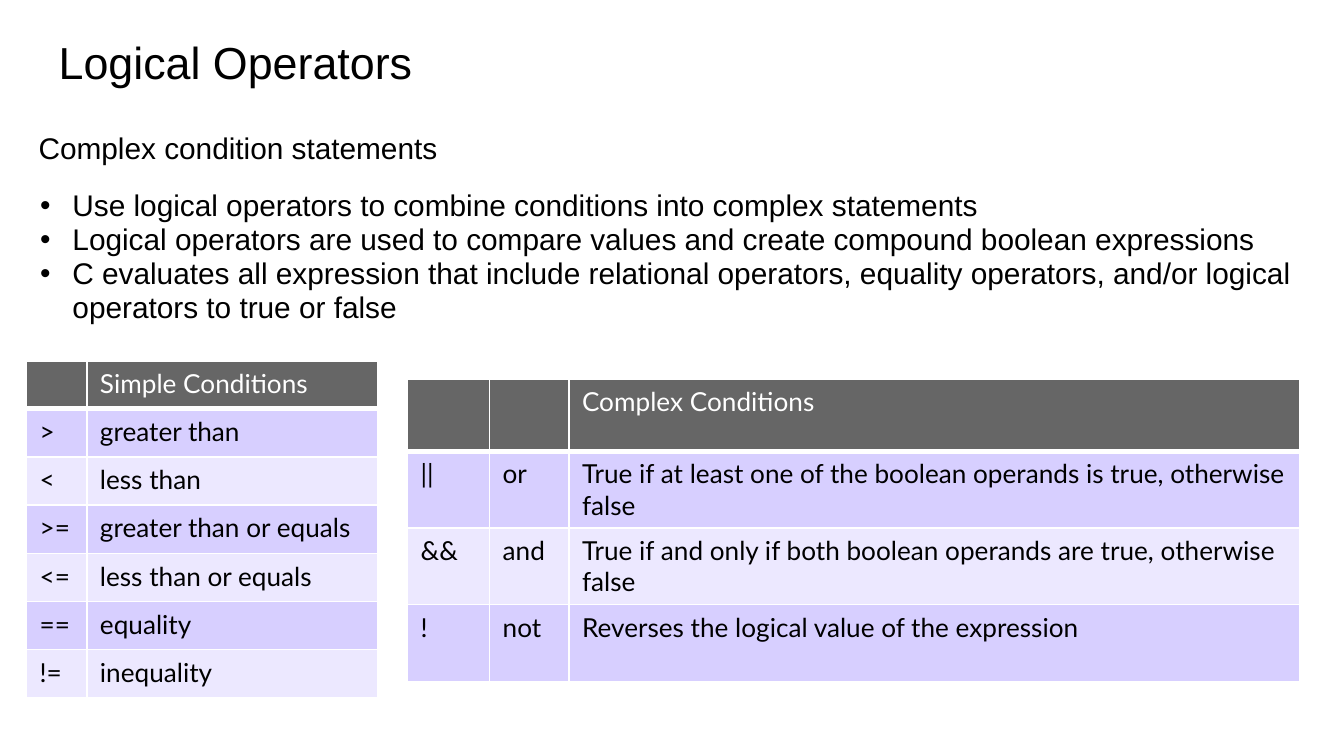
from lxml import etree
from pptx import Presentation
from pptx.dml.color import RGBColor
from pptx.enum.text import MSO_ANCHOR
from pptx.oxml.ns import qn
from pptx.util import Cm, Pt

MIDDLE = MSO_ANCHOR.MIDDLE
TOP = MSO_ANCHOR.TOP
BLACK = RGBColor(0x00, 0x00, 0x00)
WHITE = RGBColor(0xFF, 0xFF, 0xFF)
GRAY = RGBColor(0x66, 0x66, 0x66)
LILAC = RGBColor(0xD7, 0xCF, 0xFF)
PALE = RGBColor(0xEC, 0xE8, 0xFF)

INTRO = "Complex condition statements"
POINTS = [
    "Use logical operators to combine conditions into complex statements",
    "Logical operators are used to compare values and create compound boolean expressions",
    "C evaluates all expression that include relational operators, equality operators, "
    "and/or logical operators to true or false",
]
SIMPLE = [
    ("", "Simple Conditions"),
    (">", "greater than"),
    ("<", "less than"),
    (">=", "greater than or equals"),
    ("<=", "less than or equals"),
    ("==", "equality"),
    ("!=", "inequality"),
]
COMPLEX = [
    ("", "", "Complex Conditions"),
    ("||", "or", "True if at least one of the boolean operands is true, otherwise false"),
    ("&&", "and", "True if and only if both boolean operands are true, otherwise false"),
    ("!", "not", "Reverses the logical value of the expression"),
]


def style(para, name, size, color):
    """Format every run of a paragraph."""
    for run in para.runs:
        run.font.name = name
        run.font.size = Pt(size)
        run.font.color.rgb = color


def add_box(slide, left, top, width, height, lines, size, anchor):
    """Add a wrapped text box and return its paragraphs."""
    box = slide.shapes.add_textbox(Cm(left), Cm(top), Cm(width), Cm(height))
    frame = box.text_frame
    frame.word_wrap = True
    frame.vertical_anchor = anchor
    frame.margin_left = frame.margin_right = Cm(0.25)
    frame.margin_top = frame.margin_bottom = Cm(0.25)
    frame.text = "\n".join(lines)
    for para in frame.paragraphs:
        style(para, "Arial", size, BLACK)
    return frame.paragraphs


def add_bullet(para):
    """Give a paragraph a hanging round bullet."""
    props = para._p.get_or_add_pPr()
    props.set("marL", str(Cm(0.64)))
    props.set("indent", str(Cm(-0.61)))
    color = etree.SubElement(props, qn("a:buClr"))
    etree.SubElement(color, qn("a:srgbClr"), val=str(BLACK))
    etree.SubElement(props, qn("a:buFont"), typeface="Arial")
    etree.SubElement(props, qn("a:buChar"), char="•")


def add_edges(cell, row):
    """Draw white cell borders, thick below the header."""
    props = cell._tc.get_or_add_tcPr()
    widths = {"lnL": 1, "lnR": 1, "lnT": 3 if row == 1 else 1, "lnB": 3 if row == 0 else 1}
    for tag, width in widths.items():
        line = etree.SubElement(props, qn("a:" + tag), w=str(Pt(width)))
        fill = etree.SubElement(line, qn("a:solidFill"))
        etree.SubElement(fill, qn("a:srgbClr"), val=str(WHITE))


def fill_cell(cell, row, text):
    """Set the text, borders and band color of one cell."""
    cell.text = text
    cell.margin_left = cell.margin_right = Cm(0.25)
    cell.margin_top = cell.margin_bottom = Cm(0.13)
    para = cell.text_frame.paragraphs[0]
    style(para, "Lato", 14, BLACK if row else WHITE)
    if not text:
        etree.SubElement(para._p, qn("a:endParaRPr"), sz="1400")
    add_edges(cell, row)
    cell.fill.solid()
    cell.fill.fore_color.rgb = (LILAC if row % 2 else PALE) if row else GRAY


def add_grid(slide, left, top, widths, heights, data):
    """Add a banded table with a gray header."""
    frame = slide.shapes.add_table(
        len(data), len(widths), Cm(left), Cm(top), Cm(sum(widths)), Cm(sum(heights)))
    table = frame.table
    for col, width in zip(table.columns, widths):
        col.width = Cm(width)
    for row, height in zip(table.rows, heights):
        row.height = Cm(height)
    for i, texts in enumerate(data):
        for j, text in enumerate(texts):
            fill_cell(table.cell(i, j), i, text)


def main():
    """Build the slide on logical operators."""
    deck = Presentation()
    deck.slide_width, deck.slide_height = Cm(25.4), Cm(14.29)
    slide = deck.slides.add_slide(deck.slide_layouts[6])
    add_box(slide, 0.86, 0.36, 23.67, 1.6, ["Logical Operators"], 24, MIDDLE)
    paras = add_box(slide, 0.48, 2.26, 24.41, 5.13, [INTRO, *POINTS], 16, TOP)
    for para in paras:
        para.line_spacing = 0.95
    paras[1].space_before = Pt(12)
    for para in paras[1:]:
        add_bullet(para)
    add_grid(slide, 0.5, 6.82, [1.14, 5.51], [0.91] * len(SIMPLE), SIMPLE)
    add_grid(slide, 7.7, 7.16, [1.55, 1.5, 13.82], [1.37] + [1.45] * 3, COMPLEX)
    deck.save("out.pptx")


if __name__ == "__main__":
    main()
